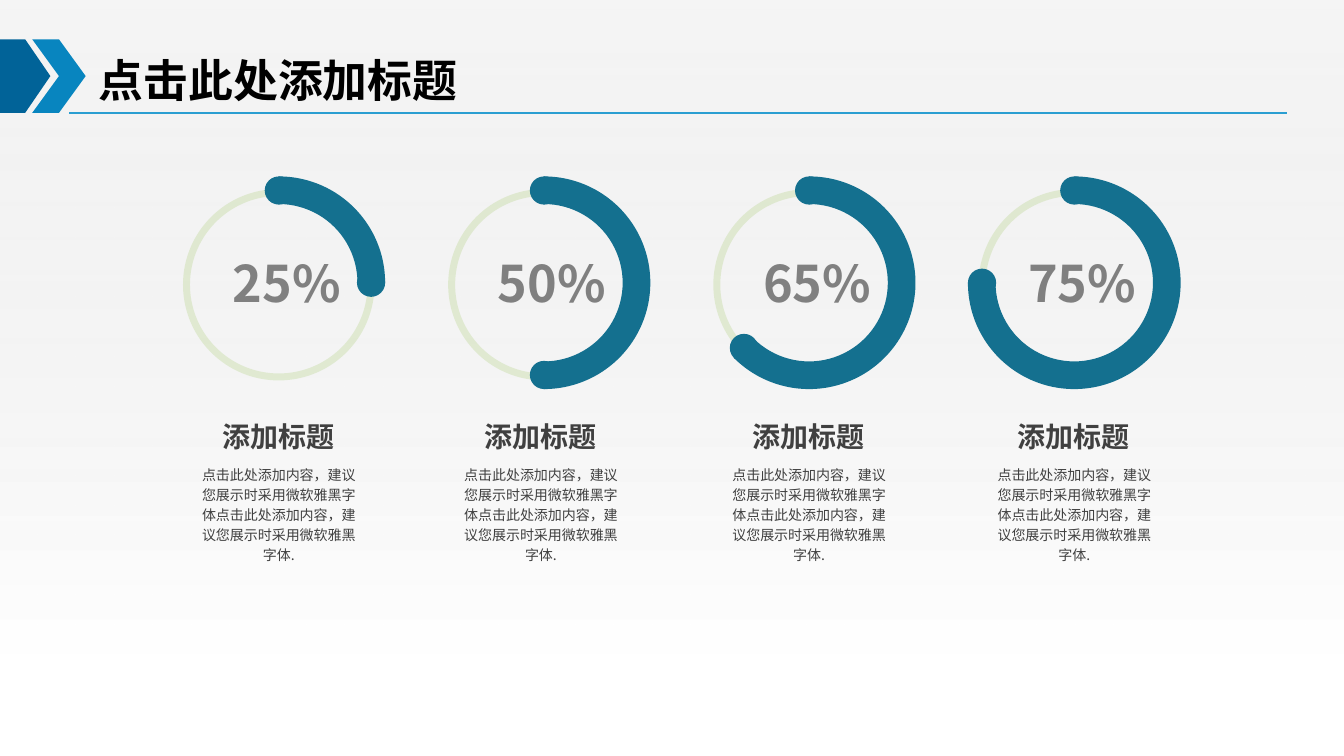
"""Builds a slide of four progress rings with captions."""
from dataclasses import dataclass
from math import cos, radians, sin

from lxml import etree
from pptx import Presentation
from pptx.dml.color import RGBColor
from pptx.enum.shapes import MSO_CONNECTOR, MSO_SHAPE
from pptx.enum.text import MSO_ANCHOR, MSO_AUTO_SIZE, PP_ALIGN
from pptx.oxml.ns import qn
from pptx.util import Inches, Pt

RECT, OVAL, ARC = MSO_SHAPE.RECTANGLE, MSO_SHAPE.OVAL, MSO_SHAPE.BLOCK_ARC
ARROW, CHEVRON = MSO_SHAPE.PENTAGON, MSO_SHAPE.CHEVRON
STRAIGHT, TOP, FIXED = MSO_CONNECTOR.STRAIGHT, MSO_ANCHOR.TOP, MSO_AUTO_SIZE.NONE
LEFT, CENTER = PP_ALIGN.LEFT, PP_ALIGN.CENTER


@dataclass(frozen=True)
class Theme:
    font: str = "Noto Sans CJK SC"
    navy: str = "016398"
    blue: str = "0885BF"
    rule: str = "2A9ED1"
    teal: str = "14708F"
    track: str = "90C048"
    shade: str = "D9D9D9"
    white: str = "FFFFFF"
    black: str = "000000"
    gray: str = "808080"
    dark: str = "404040"
    title: tuple = (32, 42)
    share: tuple = (36, 45)
    head: tuple = (20, 31)
    body: tuple = (10, 14.3)


class Deck:
    def __init__(self, theme):
        self.theme = theme
        self.prs = Presentation()
        self.prs.slide_width, self.prs.slide_height = Inches(13.33), Inches(7.5)
        self.slide = self.prs.slides.add_slide(self.prs.slide_layouts[5])
        self.pen = self.slide.shapes

    def fade(self, color, share):
        etree.SubElement(color, qn("a:alpha")).set("val", str(share * 1000))

    def shape(self, kind, box, fill=None, adjust=()):
        item = self.pen.add_shape(kind, *map(Inches, box))
        item.shadow.inherit = False
        item.line.fill.background()
        if fill:
            item.fill.solid()
            item.fill.fore_color.rgb = RGBColor.from_string(fill)
        else:
            item.fill.background()
        for index, value in enumerate(adjust):
            item.adjustments[index] = value
        return item

    def wash(self, box, stops):
        item = self.shape(RECT, box)
        item.fill.gradient()
        item.fill.gradient_angle = 270
        for stop, (color, share) in zip(item.fill.gradient_stops, stops):
            stop.color.rgb = RGBColor.from_string(color)
        marks = item._element.spPr.iter(qn("a:srgbClr"))
        for mark, (color, share) in zip(list(marks), stops):
            self.fade(mark, share)

    def rule(self, start, end, y):
        line = self.pen.add_connector(
            STRAIGHT, Inches(start), Inches(y), Inches(end), Inches(y))
        line.line.color.rgb = RGBColor.from_string(self.theme.rule)
        line.line.width = Pt(1.5)
        etree.SubElement(line._element.spPr, qn("a:effectLst"))

    def style(self, item, text, size, color, bold, align, wrap=True):
        frame = item.text_frame
        frame.text = text
        frame.auto_size, frame.vertical_anchor = FIXED, TOP
        frame.word_wrap = wrap
        para = frame.paragraphs[0]
        para.alignment = align
        para.space_before = Pt(0)
        para.line_spacing = Pt(size[1])
        for run in para.runs:
            run.font.size, run.font.bold = Pt(size[0]), bold
            run.font.name = self.theme.font
            run.font.color.rgb = RGBColor.from_string(color)
            east = etree.SubElement(run.font._element, qn("a:ea"))
            east.set("typeface", self.theme.font)

    def text(self, box, text, size, color, bold=True, align=CENTER, wrap=True):
        item = self.pen.add_textbox(*map(Inches, box))
        self.style(item, text, size, color, bold, align, wrap)
        return item

    def title(self, box, text):
        item = self.slide.shapes.title
        item.left, item.top, item.width, item.height = map(Inches, box)
        self.style(item, text, self.theme.title, self.theme.black, True, LEFT)
        self.slide.shapes._spTree.append(item._element)

    def dot(self, x, y, turn):
        angle = radians(turn - 90)
        left, top = x + 0.915 * cos(angle), y + 0.915 * sin(angle)
        self.shape(OVAL, (left - 0.14, top - 0.14, 0.28, 0.28), self.theme.teal)

    def ring(self, x, y, share, turn):
        look = self.theme
        self.pen = self.slide.shapes.add_group_shape().shapes
        track = self.shape(OVAL, (x - 0.915, y - 0.895, 1.83, 1.83))
        track.line.color.rgb = RGBColor.from_string(look.track)
        track.line.width = Pt(5)
        self.fade(next(track._element.spPr.iter(qn("a:srgbClr"))), 20)
        end = (turn + 270) % 360 * 0.6
        self.shape(ARC, (x - 1.055, y - 1.055, 2.11, 2.11), look.teal, (162, end, 0.13))
        self.text((x - 0.555, y - 0.375, 1.3, 0.71), share,
                  look.share, look.gray, align=LEFT, wrap=False)
        for angle in (0, turn):
            self.dot(x, y, angle)
        self.pen = self.slide.shapes

    def note(self, x, head, body):
        look = self.theme
        self.text((x - 0.865, 4.55, 1.73, 1.2), body, look.body, look.dark, False)
        frame = self.text((x - 0.765, 4.06, 1.52, 0.37), head,
                          look.head, look.dark).text_frame
        frame.margin_left = frame.margin_right = 0
        frame.margin_top = frame.margin_bottom = 0


def main():
    look = Theme()
    deck = Deck(look)
    deck.wash((0, 0, 13.33, 6.48), ((look.shade, 25), (look.white, 84)))
    deck.rule(12.76, 0.68, 1.12)
    deck.shape(ARROW, (0, 0.39, 0.5, 0.73), look.navy, (0.5,))
    deck.shape(CHEVRON, (0.32, 0.39, 0.53, 0.73), look.blue, (0.5,))
    body = "点击此处添加内容，建议您展示时采用微软雅黑字体" * 2 + "."
    rings = (("25%", 90, 0), ("50%", 180, -0.03), ("65%", 225, 0), ("75%", 270, 0))
    for index, (share, turn, shift) in enumerate(rings):
        x = 2.765 + 2.63 * index
        deck.ring(x, 2.805, share, turn)
        deck.note(x + shift, "添加标题", body)
    deck.title((0.88, 0.42, 4.67, 0.64), "点击此处添加标题")
    deck.prs.save("out.pptx")


if __name__ == "__main__":
    main()
